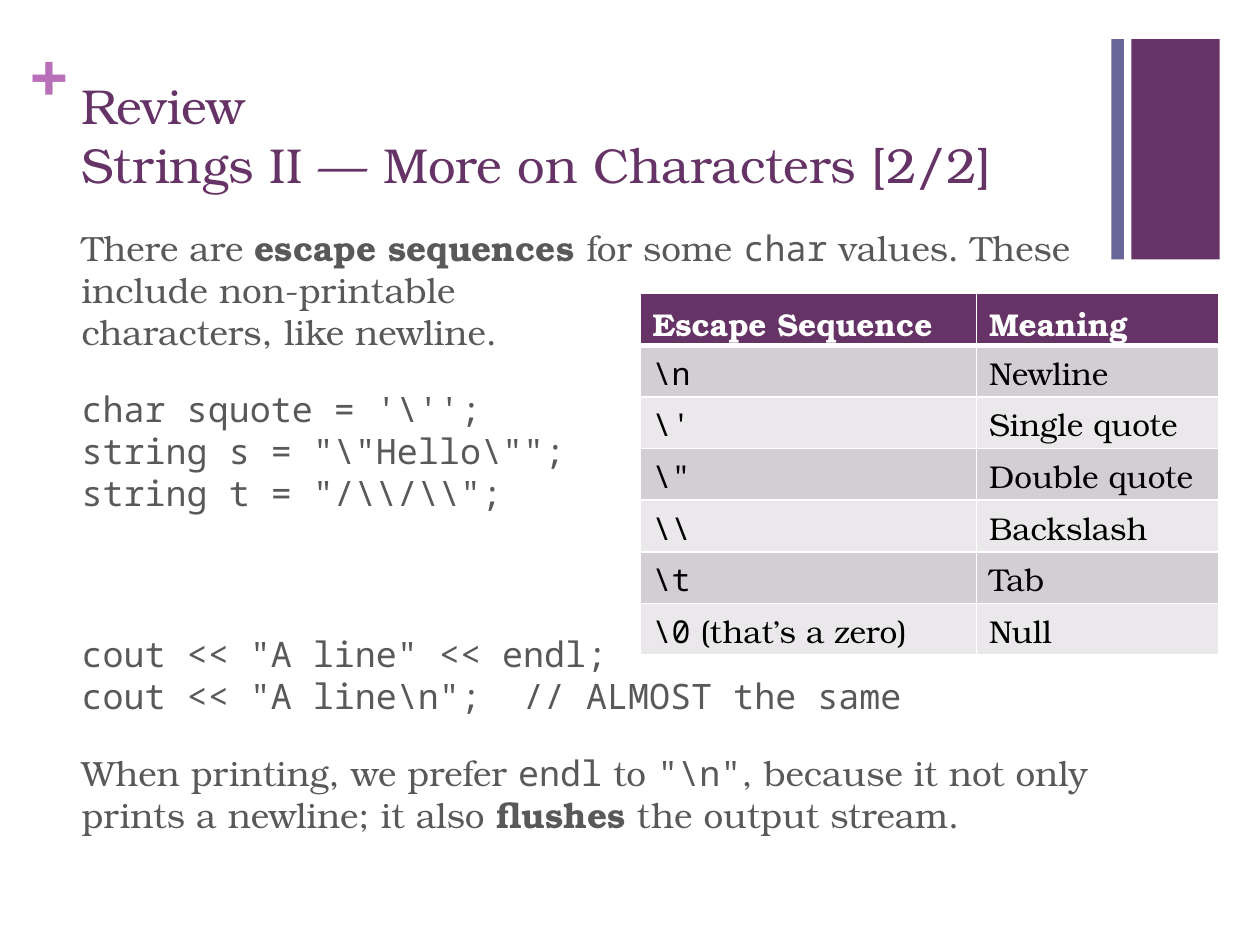
from lxml.etree import SubElement
from pptx import Presentation
from pptx.dml.color import RGBColor
from pptx.enum.shapes import MSO_SHAPE as SHAPE
from pptx.enum.text import MSO_ANCHOR as ANCHOR
from pptx.oxml.ns import qn
from pptx.util import Inches, Pt

SERIF, MONO = "TeX Gyre Bonum", "Noto Sans Mono"
PURPLE = RGBColor(0x66, 0x33, 0x66)
SLATE = RGBColor(0x66, 0x66, 0x99)
ORCHID = RGBColor(0xB8, 0x70, 0xB8)
GRAY = RGBColor(0x59, 0x59, 0x59)
BLACK = RGBColor(0, 0, 0)
WHITE = RGBColor(0xFF, 0xFF, 0xFF)
BAND_DARK = RGBColor(0xD3, 0xCE, 0xD3)
BAND_LIGHT = RGBColor(0xEA, 0xE8, 0xEA)


def add_runs(p, parts, size, color):
    """Add (text, font, bold) parts to a paragraph; a newline is a line break."""
    for text, font, bold in parts:
        for i, line in enumerate(text.split("\n")):
            if i:
                p.add_line_break()
            r = p.add_run()
            r.text = line
            r.font.name, r.font.size, r.font.bold = font, Pt(size), bold
            r.font.color.rgb = color


def add_text_box(left, top, width, height):
    tf = slide.shapes.add_textbox(
        Inches(left), Inches(top), Inches(width), Inches(height)).text_frame
    tf.word_wrap = True
    return tf


prs = Presentation()
prs.slide_width, prs.slide_height = Inches(10), Inches(7.5)
slide = prs.slides.add_slide(prs.slide_layouts[6])

# Corner decoration
for left, width, color in [(8.98, 0.7, PURPLE), (8.82, 0.1, SLATE)]:
    bar = slide.shapes.add_shape(
        SHAPE.RECTANGLE, Inches(left), Inches(0.31), Inches(width), Inches(1.75))
    bar.shadow.inherit = False
    bar.fill.solid()
    bar.fill.fore_color.rgb = color
    bar.line.fill.background()

tf = add_text_box(0.24, 0.25, 0.29, 0.61)
tf.margin_left = tf.margin_top = tf.margin_right = tf.margin_bottom = 0
add_runs(tf.paragraphs[0], [("+", SERIF, True)], 36, ORCHID)

# Title
tf = add_text_box(0.55, 0.53, 8.26, 1.05)
tf.vertical_anchor = ANCHOR.BOTTOM
add_runs(tf.paragraphs[0],
         [("Review\nStrings II — More on Characters [2/2]", SERIF, False)], 28, PURPLE)

# Body: space before, then the parts of each paragraph
body = [
    (0, [("There are ", SERIF, False), ("escape sequences ", SERIF, True),
         ("for some ", SERIF, False), ("char", MONO, False),
         (" values. These include non-printable\ncharacters, like newline.",
          SERIF, False)]),
    (20, [("char squote = '\\'';\n"
           "string s = \"\\\"Hello\\\"\";\n"
           "string t = \"/\\\\/\\\\\";", MONO, False)]),
    (68, [("cout << \"A line\" << endl;\n"
           "cout << \"A line\\n\";  // ALMOST the same", MONO, False)]),
    (20, [("When printing, we prefer ", SERIF, False), ("endl", MONO, False),
          (" to ", SERIF, False), ("\"\\n\"", MONO, False),
          (", because it not only prints a newline; it also ", SERIF, False),
          ("flushes", SERIF, True), (" the output stream.", SERIF, False)]),
]
tf = add_text_box(0.55, 1.75, 8.26, 5.17)
for i, (space, parts) in enumerate(body):
    p = tf.add_paragraph() if i else tf.paragraphs[0]
    p.space_before = Pt(space)
    add_runs(p, parts, 20, GRAY)

# Escape sequence table
rows = [
    ([("Escape Sequence", SERIF, True)], "Meaning"),
    ([("\\n", MONO, False)], "Newline"),
    ([("\\'", MONO, False)], "Single quote"),
    ([("\\\"", MONO, False)], "Double quote"),
    ([("\\\\", MONO, False)], "Backslash"),
    ([("\\t", MONO, False)], "Tab"),
    ([("\\0", MONO, False), (" (that’s a zero)", SERIF, False)], "Null"),
]
table = slide.shapes.add_table(
    len(rows), 2, Inches(5.08), Inches(2.33), Inches(4.58), Inches(2.84)).table
for column, width in zip(table.columns, (2.67, 1.92)):
    column.width = Inches(width)
for i, (sequence, meaning) in enumerate(rows):
    table.rows[i].height = Inches(0.41)
    header = i == 0
    fill = PURPLE if header else BAND_DARK if i % 2 else BAND_LIGHT
    for j, parts in enumerate([sequence, [(meaning, SERIF, header)]]):
        cell = table.cell(i, j)
        add_runs(cell.text_frame.paragraphs[0], parts, 18, WHITE if header else BLACK)
        tc_pr = cell._tc.get_or_add_tcPr()
        for side in ("lnL", "lnR", "lnT", "lnB"):
            thick = (header and side == "lnB") or (i == 1 and side == "lnT")
            ln = SubElement(tc_pr, qn("a:" + side), w=str(Pt(3 if thick else 1)))
            SubElement(SubElement(ln, qn("a:solidFill")), qn("a:srgbClr"), val=str(WHITE))
        cell.fill.solid()
        cell.fill.fore_color.rgb = fill

prs.save("out.pptx")
